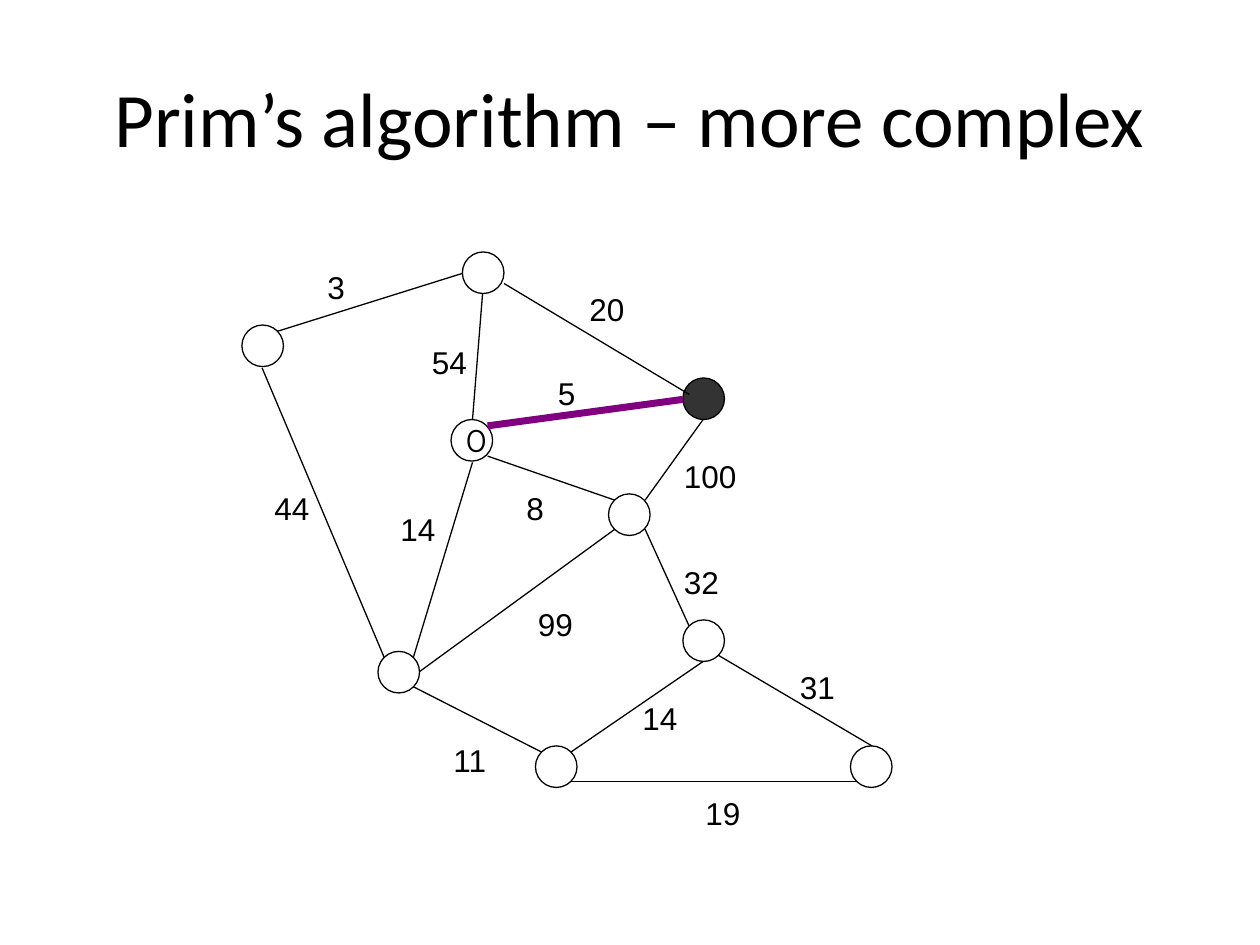
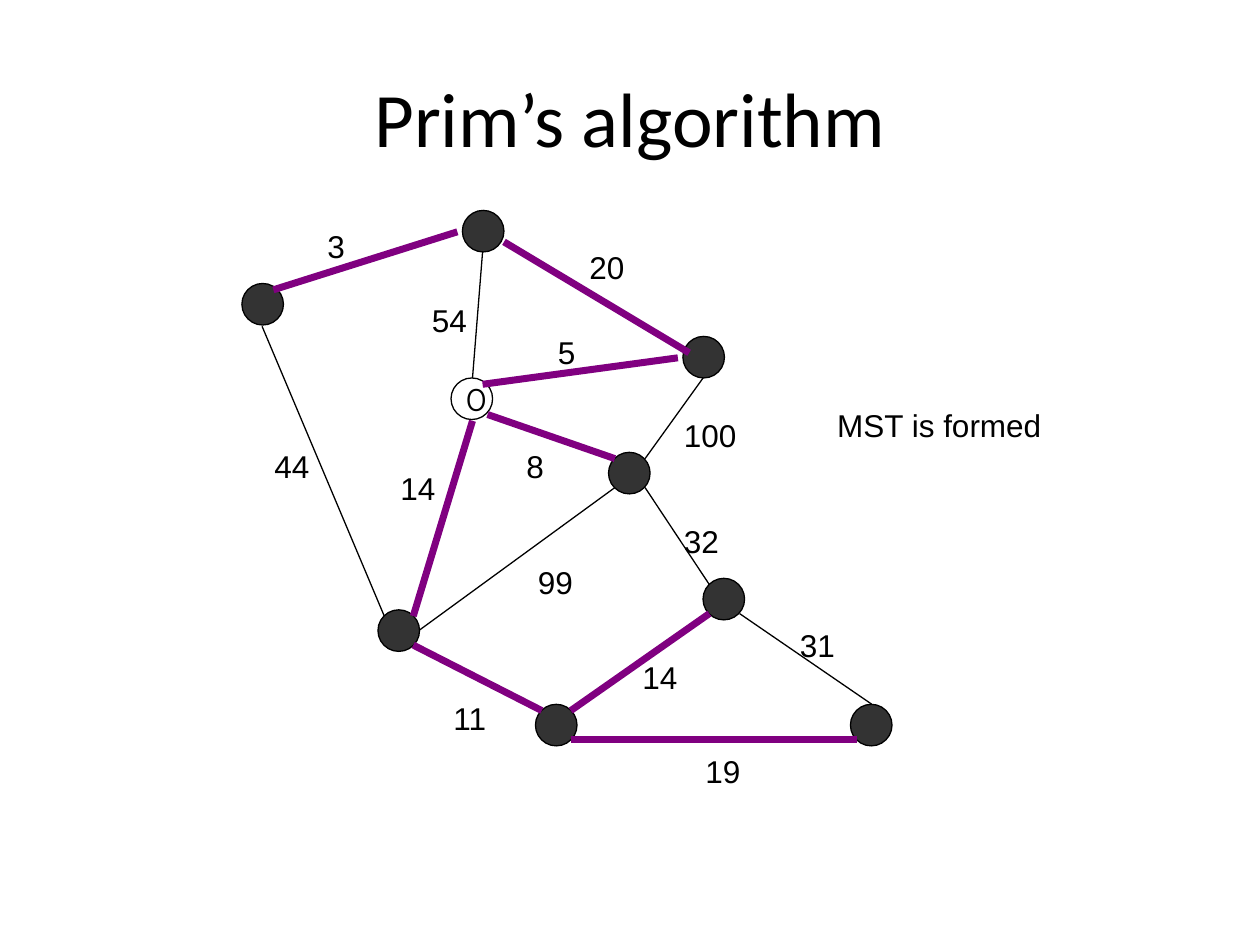
from lxml import etree
from pptx import Presentation
from pptx.dml.color import RGBColor
from pptx.enum.shapes import MSO_CONNECTOR, MSO_SHAPE
from pptx.enum.text import MSO_ANCHOR, MSO_AUTO_SIZE, PP_ALIGN
from pptx.oxml.ns import qn
from pptx.util import Inches, Pt

STRAIGHT = MSO_CONNECTOR.STRAIGHT
OVAL = MSO_SHAPE.OVAL
MIDDLE = MSO_ANCHOR.MIDDLE
GROW = MSO_AUTO_SIZE.SHAPE_TO_FIT_TEXT
CENTER, LEFT = PP_ALIGN.CENTER, PP_ALIGN.LEFT

BLACK, WHITE, VISITED, TREE = "000000", "FFFFFF", "333333", "800080"
NODE_SIZE = 0.33
LABEL_HEIGHT = 0.4
TITLE_ONLY = 5

# Left and top of each node
NODES = {
    "left": (1.92, 2.58),
    "bottom": (4.25, 5.92),
    "far right": (6.75, 5.92),
    "lower right": (5.42, 4.92),
    "lower left": (3, 5.17),
    "start": (3.58, 3.33),
    "middle": (4.83, 3.92),
    "top": (3.67, 2),
    "right": (5.42, 3),
}

# Ends of each edge: x1, y1, x2, y2
EDGES = {
    "top to right": (4, 2.25, 5.47, 3.13),
    "top to start": (3.83, 2.33, 3.75, 3.33),
    "top to left": (3.67, 2.17, 2.2, 2.63),
    "left to lower left": (2.08, 2.92, 3.05, 5.22),
    "start to lower left": (3.75, 3.67, 3.28, 5.22),
    "start to middle": (3.87, 3.62, 4.88, 3.97),
    "right to middle": (5.58, 3.33, 5.12, 3.97),
    "start to right": (3.87, 3.38, 5.42, 3.17),
    "middle to lower right": (5.12, 4.2, 5.47, 4.97),
    "middle to lower left": (4.88, 4.2, 3.33, 5.33),
    "lower left to bottom": (3.28, 5.45, 4.3, 5.97),
    "lower right to bottom": (5.58, 5.25, 4.53, 5.97),
    "lower right to far right": (5.7, 5.2, 6.92, 5.92),
    "bottom to far right": (4.53, 6.2, 6.8, 6.2),
}

# Weight, left, top, width of each edge label
WEIGHTS = [
    ("5", 4.33, 2.92, 0.42),
    ("20", 4.58, 2.25, 0.5),
    ("54", 3.33, 2.67, 0.5),
    ("3", 2.5, 2.08, 0.5),
    ("44", 2.08, 3.83, 0.5),
    ("14", 3.08, 4, 0.67),
    ("99", 4.17, 4.75, 0.58),
    ("32", 5.33, 4.42, 0.67),
    ("8", 4.08, 3.83, 0.42),
    ("100", 5.33, 3.58, 0.75),
    ("11", 3.5, 5.83, 0.58),
    ("14", 5, 5.5, 0.58),
    ("31", 6.25, 5.25, 0.58),
    ("19", 5.5, 6.25, 0.67),
]

# The finished tree is drawn higher, with a few nodes and edges moved
STEPS = [
    {
        "title": "Prim’s algorithm – more complex",
        "rise": 0,
        "visited": {"right"},
        "tree": {"start to right"},
        "moved nodes": {},
        "moved edges": {},
        "notes": [],
    },
    {
        "title": "Prim’s algorithm",
        "rise": 0.33,
        "visited": set(NODES) - {"start"},
        "tree": {
            "top to right", "top to left", "start to lower left",
            "start to middle", "start to right", "lower left to bottom",
            "lower right to bottom", "bottom to far right",
        },
        "moved nodes": {"lower right": (5.58, 4.92)},
        "moved edges": {
            "top to left": (3.63, 2.17, 2.17, 2.63),
            "start to right": (3.83, 3.38, 5.38, 3.17),
            "middle to lower right": (5.12, 4.2, 5.63, 4.97),
            "lower right to bottom": (5.63, 5.2, 4.53, 5.97),
            "lower right to far right": (5.87, 5.2, 6.92, 5.92),
        },
        "notes": [("MST is formed", 6.33, 3.5, 2.25)],
    },
]


def color(code):
    return RGBColor.from_string(code)


def format_text(frame, text, font, size, align):
    frame.text = text
    para = frame.paragraphs[0]
    para.alignment = align
    para.font.name = font
    para.font.size = Pt(size)
    para.font.color.rgb = color(BLACK)


deck = Presentation()
deck.slide_width, deck.slide_height = Inches(10), Inches(7.5)

for step in STEPS:
    page = deck.slides.add_slide(deck.slide_layouts[TITLE_ONLY])
    rise = step["rise"]

    title = page.shapes.title
    title.left, title.top = Inches(0.5), Inches(0.3)
    title.width, title.height = Inches(9), Inches(1.25)
    title.text_frame.vertical_anchor = MIDDLE
    format_text(title.text_frame, step["title"], "Calibri", 44, CENTER)

    for name, (left, top) in (NODES | step["moved nodes"]).items():
        node = page.shapes.add_shape(OVAL, Inches(left), Inches(top - rise),
                                     Inches(NODE_SIZE), Inches(NODE_SIZE))
        node.shadow.inherit = False
        node.fill.solid()
        node.fill.fore_color.rgb = color(VISITED if name in step["visited"] else WHITE)
        node.line.color.rgb = color(BLACK)
        node.line.width = Pt(0.75)
        if name == "start":
            frame = node.text_frame
            frame.word_wrap = False
            frame.vertical_anchor = MIDDLE
            frame.margin_left = Inches(0.07)
            frame.margin_right = frame.margin_top = frame.margin_bottom = 0
            format_text(frame, "0", "Montserrat", 18, CENTER)

    for name, (x1, y1, x2, y2) in (EDGES | step["moved edges"]).items():
        edge = page.shapes.add_connector(STRAIGHT, Inches(x1), Inches(y1 - rise),
                                         Inches(x2), Inches(y2 - rise))
        in_tree = name in step["tree"]
        edge.line.color.rgb = color(TREE if in_tree else BLACK)
        edge.line.width = Pt(4 if in_tree else 0.75)
        etree.SubElement(edge._element.spPr, qn("a:effectLst"))

    for text, left, top, width in WEIGHTS + step["notes"]:
        box = page.shapes.add_textbox(Inches(left), Inches(top - rise),
                                      Inches(width), Inches(LABEL_HEIGHT))
        box.text_frame.word_wrap = True
        box.text_frame.auto_size = GROW
        align = LEFT if text.isdigit() else CENTER
        format_text(box.text_frame, text, "Arial", 18, align)

deck.save("out.pptx")
